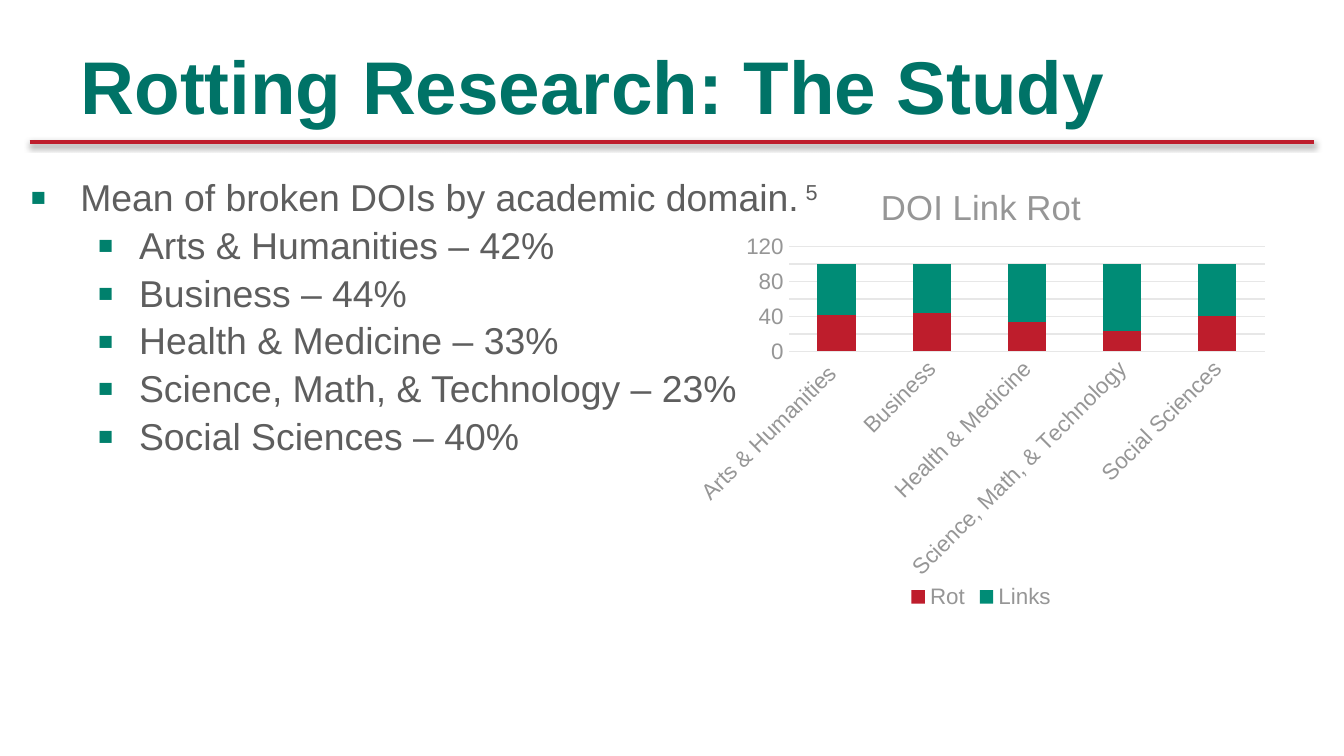
from dataclasses import dataclass

from lxml import etree
from pptx import Presentation
from pptx.chart.data import CategoryChartData
from pptx.dml.color import RGBColor
from pptx.enum.chart import XL_CHART_TYPE, XL_LEGEND_POSITION, XL_TICK_MARK
from pptx.enum.shapes import MSO_CONNECTOR
from pptx.enum.text import MSO_ANCHOR, MSO_AUTO_SIZE, PP_ALIGN
from pptx.oxml import parse_xml
from pptx.oxml.ns import nsdecls, qn
from pptx.util import Pt

STACKED = XL_CHART_TYPE.COLUMN_STACKED
BOTTOM = XL_LEGEND_POSITION.BOTTOM
NO_TICK = XL_TICK_MARK.NONE
STRAIGHT = MSO_CONNECTOR.STRAIGHT
MIDDLE, TOP = MSO_ANCHOR.MIDDLE, MSO_ANCHOR.TOP
NO_FIT = MSO_AUTO_SIZE.NONE
LEFT = PP_ALIGN.LEFT


@dataclass(frozen=True)
class Theme:
    face: str = "Arial"
    title: str = "007367"
    body: str = "5E5E5E"
    mark: str = "00806C"
    rule: str = "BE1E2D"
    rot: str = "BE1D2C"
    links: str = "008C76"
    label: str = "969696"
    grid: str = "E7E7E7"
    head_size: float = 40
    body_size: float = 20
    chart_size: float = 18.6
    label_size: float = 12


THEME = Theme()

# Rot share in percent by academic domain
DOMAINS = {
    "Arts & Humanities ": 42,
    "Business": 44,
    "Health & Medicine": 33,
    "Science, Math, & Technology": 23,
    "Social Sciences": 40,
}


def style(font, size, color, bold=False):
    values = {"name": THEME.face, "size": Pt(size), "bold": bold}
    for key, value in values.items():
        setattr(font, key, value)
    font.color.rgb = RGBColor.from_string(color)


def place(shape, left, top, width, height, anchor):
    box = {"left": left, "top": top, "width": width, "height": height}
    for key, value in box.items():
        setattr(shape, key, Pt(value))
    frame = shape.text_frame
    form = {"word_wrap": True, "auto_size": NO_FIT, "vertical_anchor": anchor}
    for key, value in form.items():
        setattr(frame, key, value)
    return frame


def add_title(slide, text):
    frame = place(slide.shapes.title, 36, 16.56, 648, 57.6, MIDDLE)
    para = frame.paragraphs[0]
    para.alignment = LEFT
    run = para.add_run()
    run.text = text
    style(run.font, THEME.head_size, THEME.title, True)


def add_bullet(para, text, level, margin, indent):
    form = {"level": level, "alignment": LEFT,
            "line_spacing": 0.9, "space_before": Pt(4)}
    for key, value in form.items():
        setattr(para, key, value)
    props = para._p.get_or_add_pPr()
    props.set("marL", str(Pt(margin)))
    props.set("indent", str(Pt(-indent)))
    color = etree.SubElement(props, qn("a:buClr"))
    etree.SubElement(color, qn("a:srgbClr"), val=THEME.mark)
    etree.SubElement(props, qn("a:buSzPct"), val="130000")
    etree.SubElement(props, qn("a:buFont"), typeface=THEME.face)
    etree.SubElement(props, qn("a:buChar"), char="▪")
    return add_run(para, text)


def add_run(para, text):
    run = para.add_run()
    run.text = text
    style(run.font, THEME.body_size, THEME.body)
    return run


def add_list(slide):
    frame = place(slide.placeholders[1], 8.8, 92.4, 472.32, 244.08, TOP)
    lead = frame.paragraphs[0]
    add_bullet(lead, "Mean of broken DOIs by academic domain.", 0, 27, 27)
    note = add_run(lead, " 5")
    note._r.get_or_add_rPr().set("baseline", "30000")
    for name, share in DOMAINS.items():
        text = f"{name.strip()} – {share}%"
        add_bullet(frame.add_paragraph(), text, 1, 58.5, 22.5)


def add_rule(slide):
    line = slide.shapes.add_connector(
        STRAIGHT, Pt(15.84), Pt(75.9), Pt(704.16), Pt(75.9))
    line.line.color.rgb = RGBColor.from_string(THEME.rule)
    line.line.width = Pt(2)
    line._element.spPr.append(parse_xml(
        f'<a:effectLst {nsdecls("a")}>'
        f'<a:outerShdw blurRad="{Pt(3.1)}" dist="{Pt(1.6)}" dir="5400000" '
        'rotWithShape="0"><a:srgbClr val="000000"><a:alpha val="38000"/>'
        '</a:srgbClr></a:outerShdw></a:effectLst>'))


def set_layout(parent, index, inner=False, **parts):
    """Place a chart part by fractions of the chart area."""
    for old in parent.findall(qn("c:layout")):
        parent.remove(old)
    layout = etree.Element(qn("c:layout"))
    manual = etree.SubElement(layout, qn("c:manualLayout"))
    if inner:
        etree.SubElement(manual, qn("c:layoutTarget"), val="inner")
    for key in ("xMode", "yMode"):
        etree.SubElement(manual, qn(f"c:{key}"), val="edge")
    for key, value in parts.items():
        etree.SubElement(manual, qn(f"c:{key}"), val=str(value))
    parent.insert(index, layout)


def style_axis(axis):
    axis.major_tick_mark = axis.minor_tick_mark = NO_TICK
    axis.format.line.fill.background()
    style(axis.tick_labels.font, THEME.label_size, THEME.label)


def add_chart(slide):
    data = CategoryChartData()
    data.categories = list(DOMAINS)
    data.add_series("Rot", list(DOMAINS.values()))
    data.add_series("Links", [100 - share for share in DOMAINS.values()])
    chart = slide.shapes.add_chart(
        STACKED, Pt(367.2), Pt(86.4), Pt(316.8), Pt(242.64), data).chart
    style(chart.font, 10, THEME.body)

    # Title
    chart.has_title = True
    title = chart.chart_title
    title.text_frame.text = "DOI Link Rot"
    run = title.text_frame.paragraphs[0].runs[0]
    style(run.font, THEME.chart_size, THEME.label)
    set_layout(title._element, 1, x=0.32, y=0.037)

    # Columns
    plot = chart.plots[0]
    form = {"gap_width": 150, "overlap": 100, "vary_by_categories": False}
    for key, value in form.items():
        setattr(plot, key, value)
    for series, color in zip(plot.series, (THEME.rot, THEME.links)):
        series.format.fill.solid()
        series.format.fill.fore_color.rgb = RGBColor.from_string(color)
    area = chart._chartSpace.chart.plotArea
    set_layout(area, 0, True, x=0.175, y=0.188, w=0.805, h=0.232)

    # Axes
    cats, vals = chart.category_axis, chart.value_axis
    for axis in (cats, vals):
        style_axis(axis)
    slant = cats._element.find(qn("c:txPr")).find(qn("a:bodyPr"))
    slant.set("rot", "-2700000")
    scale = {"minimum_scale": 0, "maximum_scale": 120, "major_unit": 20}
    for key, value in scale.items():
        setattr(vals, key, value)
    grid = vals.major_gridlines.format.line
    grid.color.rgb = RGBColor.from_string(THEME.grid)
    grid.width = Pt(0.75)

    # Legend
    chart.has_legend = True
    chart.legend.position = BOTTOM
    chart.legend.include_in_layout = False
    style(chart.legend.font, THEME.label_size, THEME.label)


def main():
    deck = Presentation()
    deck.slide_width, deck.slide_height = Pt(720), Pt(405)
    slide = deck.slides.add_slide(deck.slide_layouts[1])
    add_rule(slide)
    add_list(slide)
    add_chart(slide)
    add_title(slide, "Rotting Research: The Study")
    deck.save("out.pptx")


if __name__ == "__main__":
    main()
